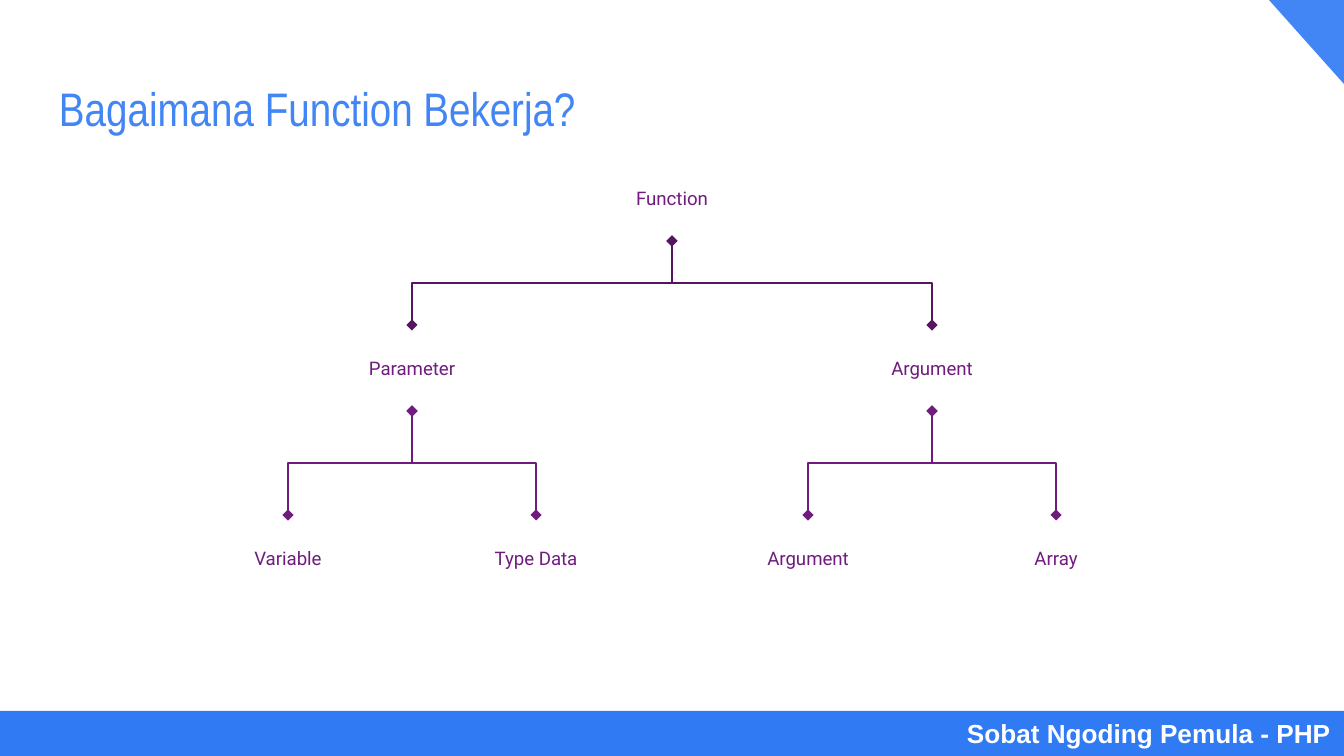
import lxml.etree
import pptx
import pptx.dml.color
import pptx.enum.shapes
import pptx.enum.text
import pptx.oxml.ns
import pptx.util

PX = 9144000 / 1344
INSET = 13
NODE_W, NODE_H = 226, 86
PURPLE, DARK_PURPLE = "701C7F", "551561"
SHAPE = pptx.enum.shapes.MSO_SHAPE
ALIGN = pptx.enum.text.PP_ALIGN
ANCHOR = pptx.enum.text.MSO_ANCHOR


def px(n):
    """Turn pixels into EMU."""
    return pptx.util.Emu(round(n * PX))


def rgb(hex_color):
    """Turn a hex string into a colour."""
    return pptx.dml.color.RGBColor.from_string(hex_color)


def write(sp, text, size, color, font, align=ALIGN.LEFT, anchor=ANCHOR.MIDDLE, bold=False):
    """Write one formatted line of text into a shape."""
    tf = sp.text_frame
    tf.word_wrap = True
    tf.auto_size = pptx.enum.text.MSO_AUTO_SIZE.NONE
    tf.vertical_anchor = anchor
    tf.margin_left = tf.margin_top = tf.margin_right = tf.margin_bottom = px(INSET)
    p = tf.paragraphs[0]
    p.alignment = align
    r = p.add_run()
    r.text = text
    r.font.size = pptx.util.Pt(size)
    r.font.name = font
    r.font.bold = bold
    r.font.color.rgb = rgb(color)


def add_block(s, kind, box, color):
    """Add a plain filled shape without outline."""
    sp = s.shapes.add_shape(kind, *map(px, box))
    sp.shadow.inherit = False
    sp.fill.solid()
    sp.fill.fore_color.rgb = rgb(color)
    sp.line.fill.background()
    return sp


def add_title(s, box, text):
    """Place and format the title placeholder."""
    sp = s.shapes.title
    sp.left, sp.top, sp.width, sp.height = map(px, box)
    write(sp, text, 25.2, "4285F4", "Arial Narrow", anchor=ANCHOR.TOP)


def add_frame(s, width, height):
    """Add the corner triangle and the footer bar."""
    corner = add_block(s, SHAPE.RIGHT_TRIANGLE, (width - 75, 0, 75, 84), "4285F4")
    corner.rotation = 180
    bar = add_block(s, SHAPE.RECTANGLE, (0, height - 45, width, 45), "307BF3")
    write(bar, "Sobat Ngoding Pemula - PHP", 14, "FFFFFF", "Arial", align=ALIGN.RIGHT, bold=True)


def add_branch(s, parent, child, color):
    """Add an elbow with diamond ends that leaves the parent downwards."""
    (x1, y1), (x2, y2) = parent, child
    mid_x, mid_y = (x1 + x2) / 2, (y1 + y2) / 2
    half_w, half_h = (y2 - y1) / 2, abs(x2 - x1) / 2
    if x2 > x1:
        half_w = -half_w
    cx = s.shapes.add_connector(
        pptx.enum.shapes.MSO_CONNECTOR.ELBOW,
        px(mid_x - half_w), px(mid_y - half_h), px(mid_x + half_w), px(mid_y + half_h))
    cx.line.color.rgb = rgb(color)
    cx.line.width = pptx.util.Pt(0.75)
    qn = pptx.oxml.ns.qn
    sp_pr = cx._element.spPr
    sp_pr.find(qn("a:xfrm")).set("rot", str(270 * 60000))
    ln = sp_pr.find(qn("a:ln"))
    for end in ("a:headEnd", "a:tailEnd"):
        lxml.etree.SubElement(ln, qn(end), type="diamond")
    lxml.etree.SubElement(sp_pr, qn("a:effectLst"))


def add_node(s, x, top, text):
    """Add a text box centred on x."""
    sp = s.shapes.add_textbox(px(x - NODE_W / 2), px(top), px(NODE_W), px(NODE_H))
    write(sp, text, 10, PURPLE, "Roboto", align=ALIGN.CENTER)


def add_tree(s, box, tree, level=0):
    """Add a node at the top of the box and its children in the halves below."""
    x, top, reach = box
    text, children = tree
    add_node(s, x, top, text)
    if not children:
        return
    gap, spread, color = ((84, 260, DARK_PURPLE), (104, 124, PURPLE))[level]
    bottom = top + NODE_H
    for side, child in zip((-1, 1), children):
        child_x = x + side * spread
        add_branch(s, (x, bottom), (child_x, bottom + gap), color)
        add_tree(s, (child_x, bottom + gap, reach / 2), child, level + 1)


def main():
    """Build and save the slide."""
    width, height = 1344, 756
    prs = pptx.Presentation()
    prs.slide_width, prs.slide_height = px(width), px(height)
    s = prs.slides.add_slide(prs.slide_layouts[5])
    add_frame(s, width, height)
    add_title(s, (46, 66, 1252, 85), "Bagaimana Function Bekerja?")
    tree = ("Function", [
        ("Parameter", [("Variable", []), ("Type Data", [])]),
        ("Argument", [("Argument", []), ("Array", [])]),
    ])
    add_tree(s, (width / 2, 155, width / 2), tree)
    prs.save("out.pptx")


if __name__ == "__main__":
    main()
